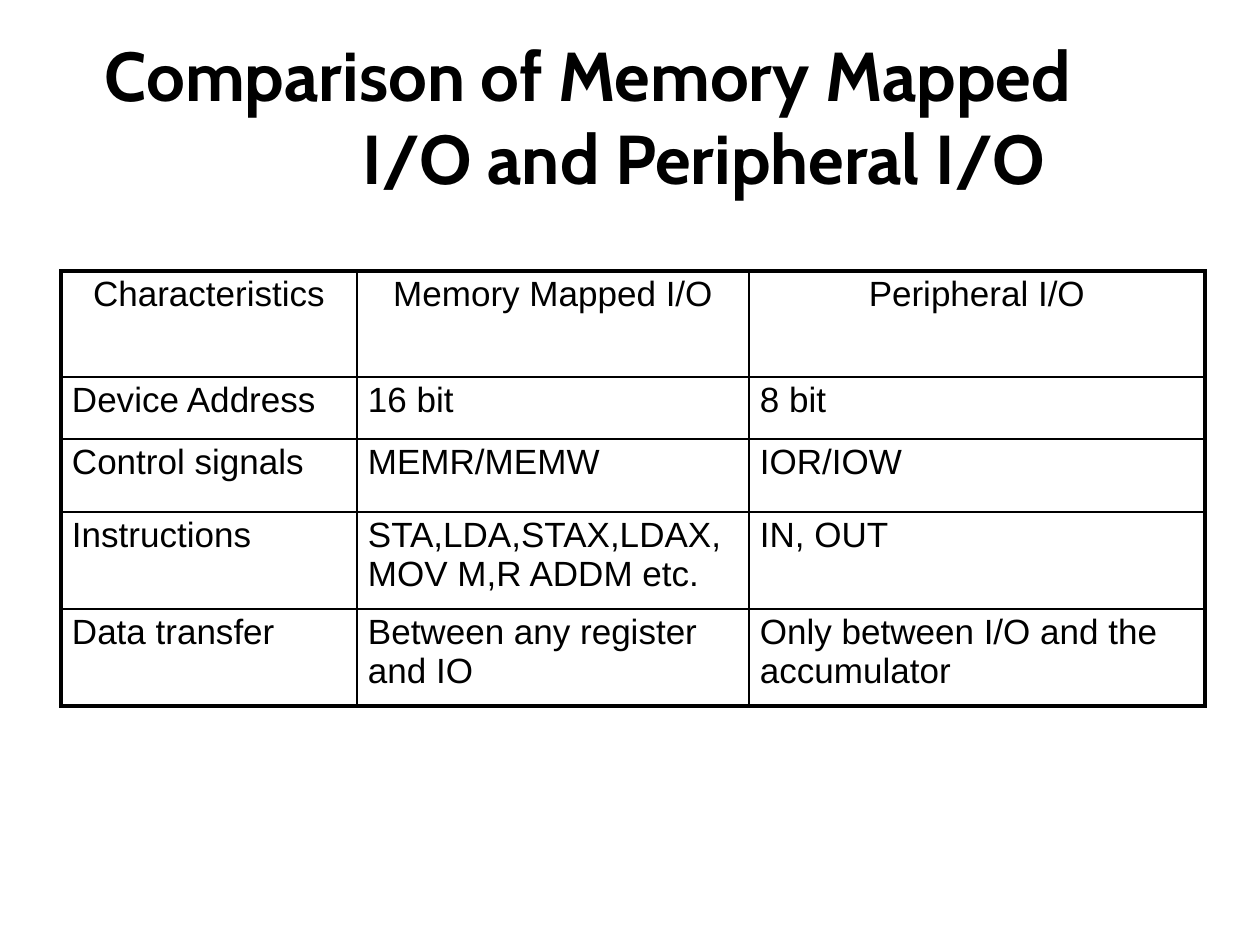
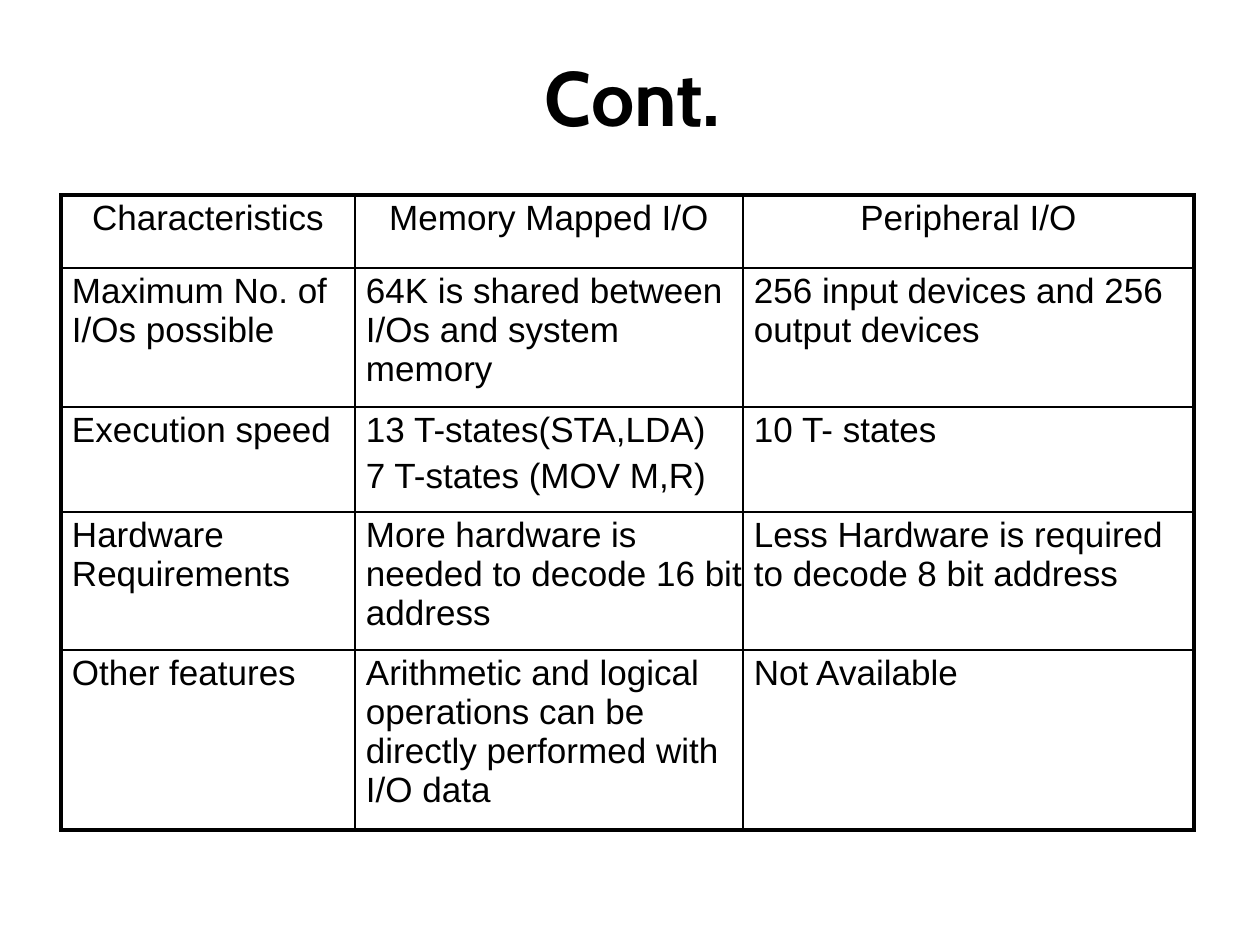
from lxml import etree
from pptx import Presentation, util as u
from pptx.dml.color import RGBColor
from pptx.enum import text
from pptx.oxml.ns import qn

INK = "000000"
THIN, THICK = 1, 2.25
TITLE_FONT, BODY_FONT = "Cabin", "Arial"
HEADINGS = ("Characteristics", "Memory Mapped I/O", "Peripheral I/O")


def px(n):
    return u.Emu(round(n * 914400 / 126))


def style(p, font, size, before, bold=False):
    """Set a paragraph's font and the space before it, in points."""
    p.font.name, p.font.size, p.font.bold = font, u.Pt(size), bold
    p.font.color.rgb = RGBColor.from_string(INK)
    p.space_before = u.Pt(before)


slides = [
    dict(
        title="Comparison of Memory Mapped I/O and Peripheral I/O",
        box=(88, 9, 1084, 190), inset=24, size=39.5, before=2.4,
        spacing=47.2, margin=275, indent=-258,
        top=271, cols=(296, 392, 456), heights=(106, 62, 73, 97, 97),
        rows=[
            ("Device Address", "16 bit", "8 bit"),
            ("Control signals", "MEMR/MEMW", "IOR/IOW"),
            ("Instructions", "STA,LDA,STAX,LDAX, MOV M,R ADDM etc.", "IN, OUT"),
            ("Data transfer", "Between any register and IO",
             "Only between I/O and the accumulator"),
        ],
    ),
    dict(
        title="Cont.",
        box=(543, 48, 255, 96), inset=1, size=44, before=1,
        spacing=None, margin=2, indent=0,
        top=195, cols=(294, 388, 451), heights=(73, 139, 105, 138, 180),
        rows=[
            ("Maximum No. of I/Os possible",
             "64K is shared between I/Os and system memory",
             "256 input devices and 256 output devices"),
            ("Execution speed", "13 T-states(STA,LDA)\n7 T-states (MOV M,R)",
             "10 T- states"),
            ("Hardware Requirements",
             "More hardware is needed to decode 16 bit address",
             "Less Hardware is required to decode 8 bit address"),
            ("Other features",
             "Arithmetic and logical operations can be directly performed with I/O data",
             "Not Available"),
        ],
    ),
]

prs = Presentation()
prs.slide_width, prs.slide_height = px(1260), px(945)

for d in slides:
    s = prs.slides.add_slide(prs.slide_layouts[6])

    tf = s.shapes.add_textbox(*map(px, d["box"])).text_frame
    tf.word_wrap = True
    tf.margin_left = tf.margin_right = tf.margin_bottom = 0
    tf.margin_top = px(d["inset"])
    p = tf.paragraphs[0]
    p.text = d["title"]
    style(p, TITLE_FONT, d["size"], d["before"], bold=True)
    if d["spacing"]:
        p.line_spacing = u.Pt(d["spacing"])
    pPr = p._p.get_or_add_pPr()
    pPr.set("marL", str(px(d["margin"])))
    pPr.set("indent", str(px(d["indent"])))

    rows = [HEADINGS] + d["rows"]
    last_row, last_col = len(rows) - 1, len(HEADINGS) - 1
    table = s.shapes.add_table(
        len(rows), len(HEADINGS), px(61), px(d["top"]),
        px(sum(d["cols"])), px(sum(d["heights"]))).table
    table.first_row = table.horz_banding = False
    for column, width in zip(table.columns, d["cols"]):
        column.width = px(width)
    for row, height in zip(table.rows, d["heights"]):
        row.height = px(height)

    for i, row in enumerate(rows):
        for j, words in enumerate(row):
            cell = table.cell(i, j)
            cell.margin_left = 0 if i == 0 else px(11)
            cell.margin_right = cell.margin_bottom = 0
            cell.margin_top = px(4)
            cell.text = words
            for n, p in enumerate(cell.text_frame.paragraphs):
                style(p, BODY_FONT, 20, 4 if n else 2.2)
                p.alignment = text.PP_ALIGN.CENTER if i == 0 else text.PP_ALIGN.LEFT

            tcPr = cell._tc.get_or_add_tcPr()
            outer = {"L": j == 0, "R": j == last_col, "T": i == 0, "B": i == last_row}
            for side, is_outer in outer.items():
                width = u.Pt(THICK if is_outer else THIN)
                ln = etree.SubElement(tcPr, qn(f"a:ln{side}"), w=str(width))
                fill = etree.SubElement(ln, qn("a:solidFill"))
                etree.SubElement(fill, qn("a:srgbClr"), val=INK)
            cell.fill.background()

prs.save("out.pptx")
